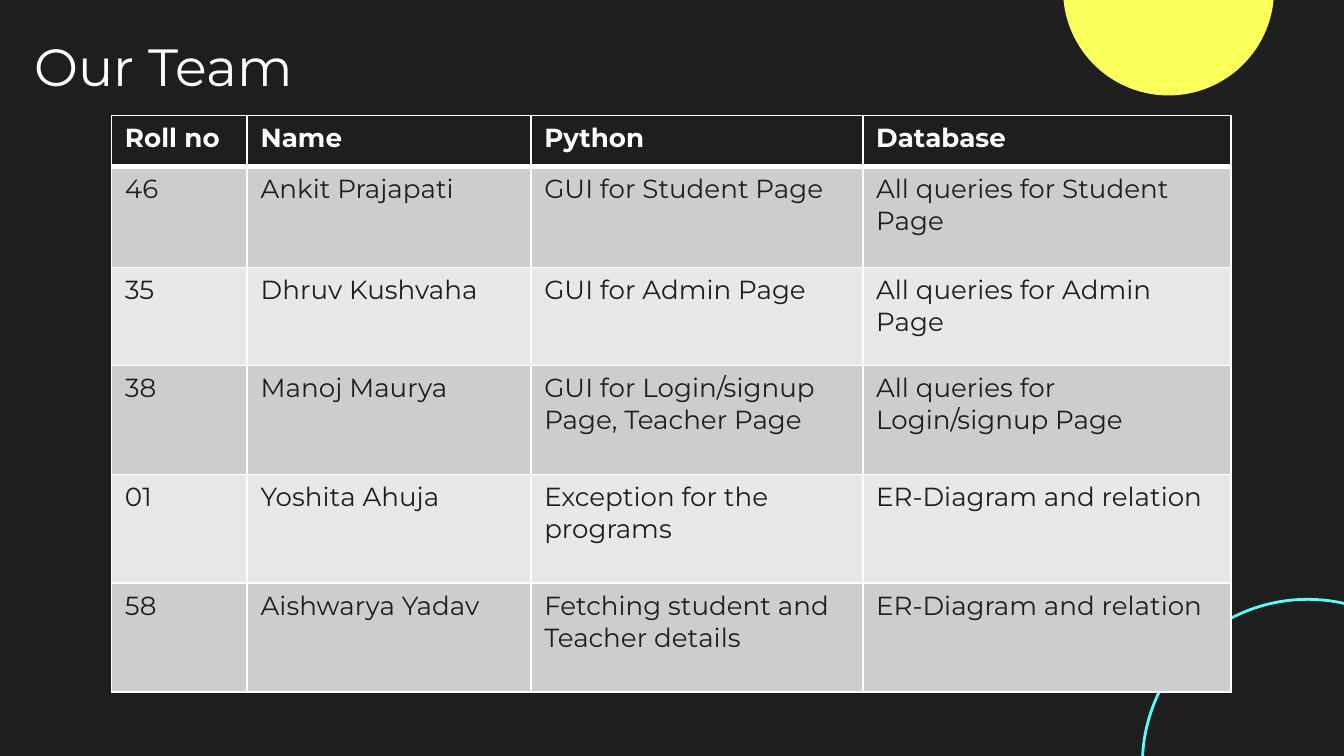
from typing import NamedTuple

from lxml import etree
from pptx import Presentation
from pptx import util as u
from pptx.dml.color import RGBColor
from pptx.enum import shapes, text
from pptx.oxml import ns

DARK, WHITE = "1E1E1E", "FFFFFF"
BANDS = ("CDCDCD", "E8E8E8")
FONT = "Montserrat"
WIDTHS = (1.01, 2.11, 2.47, 2.74)
HEIGHTS = (0.38, 0.75, 0.73, 0.81, 0.81, 0.81)


class Disc(NamedTuple):
    left: float
    top: float
    size: float
    fill: str | None = None
    line: str | None = None


class Member(NamedTuple):
    roll: str
    name: str
    python: str
    data: str


DISCS = (
    Disc(8.5, 4.46, 2.46, line="5CFFF8"),
    Disc(7.91, -0.86, 1.57, fill="FDFF5C"),
)
HEAD = Member("Roll no", "Name", "Python", "Database")
TEAM = (
    Member("46", "Ankit Prajapati", "GUI for Student Page", "All queries for Student Page"),
    Member("35", "Dhruv Kushvaha", "GUI for Admin Page", "All queries for Admin Page"),
    Member("38", "Manoj Maurya", "GUI for Login/signup Page, Teacher Page",
           "All queries for Login/signup Page"),
    Member("01", "Yoshita Ahuja", "Exception for the programs", "ER-Diagram and relation"),
    Member("58", "Aishwarya Yadav", "Fetching student and\nTeacher details",
           "ER-Diagram and relation"),
)


def color(code: str) -> RGBColor:
    return RGBColor.from_string(code)


def style(frame, size: float, code: str, bold: bool = False) -> None:
    for para in frame.paragraphs:
        for run in para.runs:
            run.font.name = FONT
            run.font.size = u.Pt(size)
            run.font.bold = bold
            run.font.color.rgb = color(code)


def draw_disc(slide, disc: Disc) -> None:
    shape = slide.shapes.add_shape(
        shapes.MSO_SHAPE.OVAL, u.Inches(disc.left), u.Inches(disc.top),
        u.Inches(disc.size), u.Inches(disc.size))
    shape.shadow.inherit = False
    if disc.fill:
        shape.fill.solid()
        shape.fill.fore_color.rgb = color(disc.fill)
    else:
        shape.fill.background()
    if disc.line:
        shape.line.color.rgb = color(disc.line)
        shape.line.width = u.Pt(1.5)
    else:
        shape.line.fill.background()


def draw_title(slide, words: str) -> None:
    title = slide.shapes.title
    title.left, title.top = u.Inches(0.16), u.Inches(0.23)
    title.width, title.height = u.Inches(8.44), u.Inches(0.51)
    frame = title.text_frame
    frame.text = words
    frame.vertical_anchor = text.MSO_ANCHOR.MIDDLE
    frame.margin_left = frame.margin_right = u.Inches(0.1)
    frame.margin_top = frame.margin_bottom = u.Inches(0.1)
    frame.paragraphs[0].alignment = text.PP_ALIGN.LEFT
    style(frame, 28, WHITE)


def edge(cell, side: str, width: float) -> None:
    props = cell._tc.get_or_add_tcPr()
    line = etree.SubElement(props, ns.qn(f"a:ln{side}"), w=str(u.Pt(width)))
    fill = etree.SubElement(line, ns.qn("a:solidFill"))
    etree.SubElement(fill, ns.qn("a:srgbClr"), val=WHITE)


def draw_cell(cell, words: str, row: int) -> None:
    head = row == 0
    cell.text_frame.text = words
    style(cell.text_frame, 14, WHITE if head else DARK, head)
    for side in "LRTB":
        thick = (row, side) in ((0, "B"), (1, "T"))
        edge(cell, side, 3 if thick else 1)
    cell.fill.solid()
    cell.fill.fore_color.rgb = color(DARK if head else BANDS[(row - 1) % 2])


def draw_table(slide, rows: tuple[Member, ...]) -> None:
    table = slide.shapes.add_table(
        len(rows), len(WIDTHS), u.Inches(0.83), u.Inches(0.86),
        u.Inches(sum(WIDTHS)), u.Inches(sum(HEIGHTS))).table
    for col, width in zip(table.columns, WIDTHS):
        col.width = u.Inches(width)
    for row, height in zip(table.rows, HEIGHTS):
        row.height = u.Inches(height)
    for i, member in enumerate(rows):
        for j, words in enumerate(member):
            draw_cell(table.cell(i, j), words, i)


def main() -> None:
    deck = Presentation()
    deck.slide_width, deck.slide_height = u.Inches(10), u.Inches(10 * 9 / 16)
    slide = deck.slides.add_slide(deck.slide_layouts[5])
    slide.background.fill.solid()
    slide.background.fill.fore_color.rgb = color(DARK)
    for disc in DISCS:
        draw_disc(slide, disc)
    draw_title(slide, "Our Team")
    draw_table(slide, (HEAD, *TEAM))
    deck.save("out.pptx")


if __name__ == "__main__":
    main()
